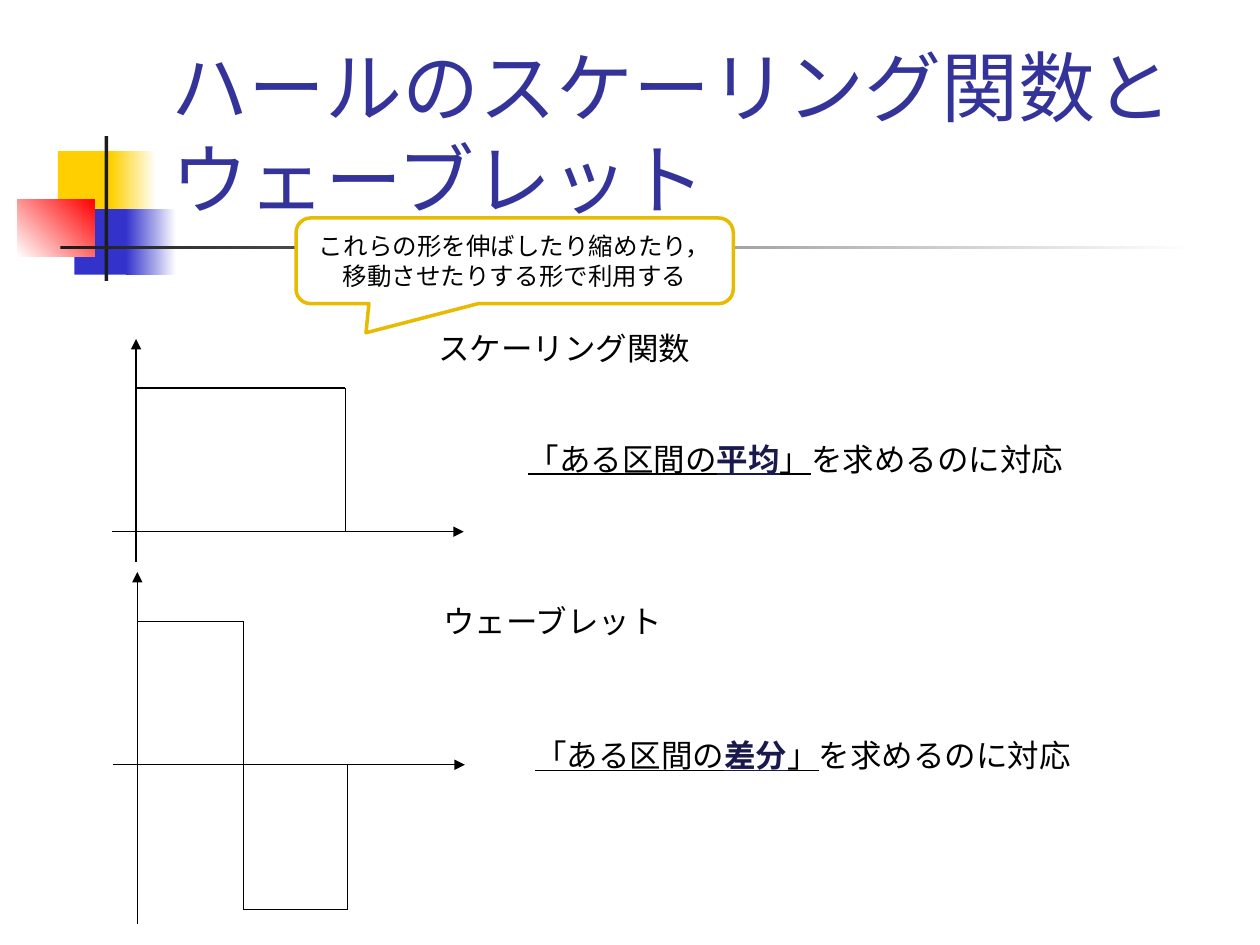
from pptx import Presentation
from pptx.dml.color import RGBColor
from pptx.enum.shapes import MSO_CONNECTOR, MSO_SHAPE
from pptx.enum.text import MSO_ANCHOR, PP_ALIGN
from pptx.oxml.ns import qn
from pptx.util import Inches, Pt
from lxml import etree

RECT = MSO_SHAPE.RECTANGLE
CALLOUT = MSO_SHAPE.ROUNDED_RECTANGULAR_CALLOUT
STRAIGHT = MSO_CONNECTOR.STRAIGHT
MIDDLE, BOTTOM = MSO_ANCHOR.MIDDLE, MSO_ANCHOR.BOTTOM
CENTER = PP_ALIGN.CENTER
FONT = "Roboto"
color = RGBColor.from_string

prs = Presentation()
prs.slide_width, prs.slide_height = Inches(10), Inches(7.5)
slide = prs.slides.add_slide(prs.slide_layouts[6])
shapes = slide.shapes


def add_run(para, text, size, ink="000000", bold=False, under=False):
    run = para.add_run()
    run.text = text
    font = run.font
    font.size, font.bold, font.underline = Pt(size), bold, under
    font.color.rgb = color(ink)
    font.name = FONT
    etree.SubElement(run._r.rPr, qn("a:ea"), typeface=FONT)


def add_line(x1, y1, x2, y2, arrow=False):
    line = shapes.add_connector(STRAIGHT, Inches(x1), Inches(y1), Inches(x2), Inches(y2))
    line.line.color.rgb = color("000000")
    line.line.width = Pt(0.75)
    if arrow:
        etree.SubElement(line.line._get_or_add_ln(), qn("a:tailEnd"), type="triangle")
    etree.SubElement(line._element.spPr, qn("a:effectLst"))


# Corner ornament: left, top, width, height, colour stops, angle
blocks = [
    (0.46, 1.2, 0.48, 0.52, ["FFCF01"], 0),
    (0.88, 1.2, 0.36, 0.52, ["FFCF01", "FFFFFF"], 0),
    (0.59, 1.66, 0.46, 0.52, ["3333CC"], 0),
    (1, 1.66, 0.4, 0.52, ["3333CC", "FFFFFF"], 0),
    (0.14, 1.58, 0.61, 0.46, ["FFFFFF", "FF0000"], 45),
    (0.83, 1.08, 0.03, 1.15, ["1C1C1C"], 0),
    (0.48, 1.95, 9, 0.03, ["1C1C1C", "FFFFFF"], 0),
]
for x, y, w, h, tints, angle in blocks:
    block = shapes.add_shape(RECT, Inches(x), Inches(y), Inches(w), Inches(h))
    block.shadow.inherit = False
    block.line.fill.background()
    if len(tints) == 1:
        block.fill.solid()
        block.fill.fore_color.rgb = color(tints[0])
    else:
        block.fill.gradient()
        block.fill.gradient_angle = angle
        for stop, tint, pos in zip(block.fill.gradient_stops, tints, (0, 1)):
            stop.color.rgb = color(tint)
            stop.position = pos

# Title
title = shapes.add_textbox(Inches(1.26), Inches(0.23), Inches(8.52), Inches(1.6))
frame = title.text_frame
frame.word_wrap = True
frame.vertical_anchor = BOTTOM
add_run(frame.paragraphs[0], "ハールのスケーリング関数とウェーブレット", 44, "333399")

# Graphs: origin, bottom of the y axis, and corners of the curve
graphs = [
    (1.08, 4.22, 4.46, 2.69, [(1.08, 3.08), (2.74, 3.08), (2.74, 4.22)]),
    (1.09, 6.07, 7.33, 4.54,
     [(1.09, 4.93), (1.93, 4.93), (1.93, 7.22), (2.76, 7.22), (2.76, 6.07)]),
]
for x, y, low, high, curve in graphs:
    add_line(x - 0.19, y, x + 2.6, y, arrow=True)
    add_line(x, low, x, high, arrow=True)
    for start, end in zip(curve, curve[1:]):
        add_line(*start, *end)

# Labels: left, top, width, runs of (text, colour, bold, underline)
labels = [
    (3.38, 2.56, 2.2, [("スケーリング関数", "000000", False, False)]),
    (3.42, 4.73, 1.95, [("ウェーブレット", "000000", False, False)]),
]
for x, y, word in [(4.09, 3.44, "平均"), (4.15, 5.79, "差分")]:
    labels.append((x, y, 4.45, [
        ("「ある区間の", "000000", False, True),
        (word, "19194D", True, True),
        ("」", "000000", False, True),
        ("を求めるのに対応", "000000", False, False),
    ]))
for x, y, w, runs in labels:
    label = shapes.add_textbox(Inches(x), Inches(y), Inches(w), Inches(0.4))
    label.text_frame.word_wrap = False
    for text, ink, bold, under in runs:
        add_run(label.text_frame.paragraphs[0], text, 18, ink, bold, under)

# Callout
note = shapes.add_shape(CALLOUT, Inches(2.35), Inches(1.73), Inches(3.47), Inches(0.68))
for i, value in enumerate((-0.34, 0.84, 0.17)):
    note.adjustments[i] = value
note.shadow.inherit = False
note.fill.solid()
note.fill.fore_color.rgb = color("FFFFFF")
note.line.color.rgb = color("E7BB01")
note.line.width = Pt(2)
frame = note.text_frame
frame.word_wrap = True
frame.vertical_anchor = MIDDLE
frame.paragraphs[0].alignment = CENTER
add_run(frame.paragraphs[0], "これらの形を伸ばしたり縮めたり，移動させたりする形で利用する", 14)

prs.save("out.pptx")
